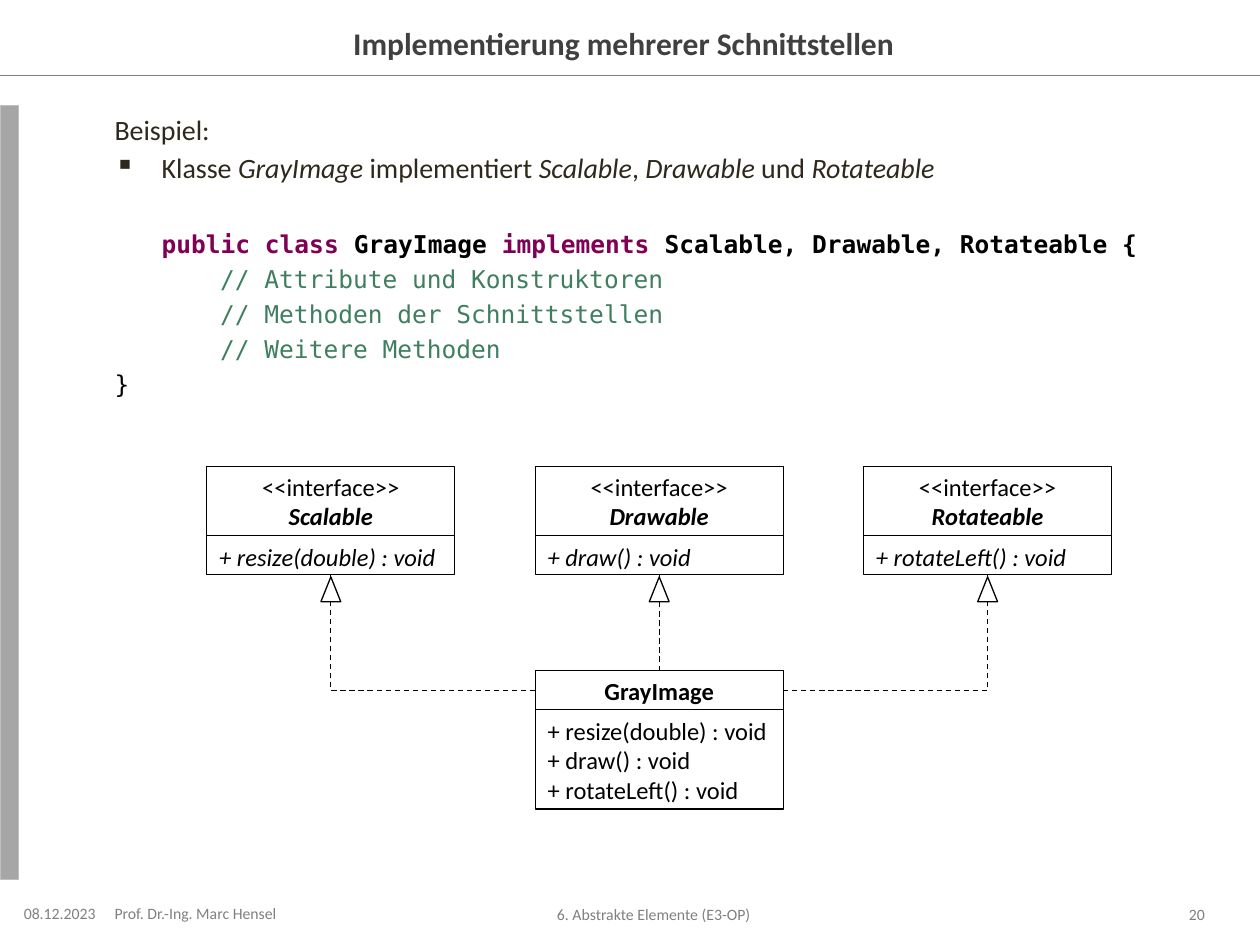
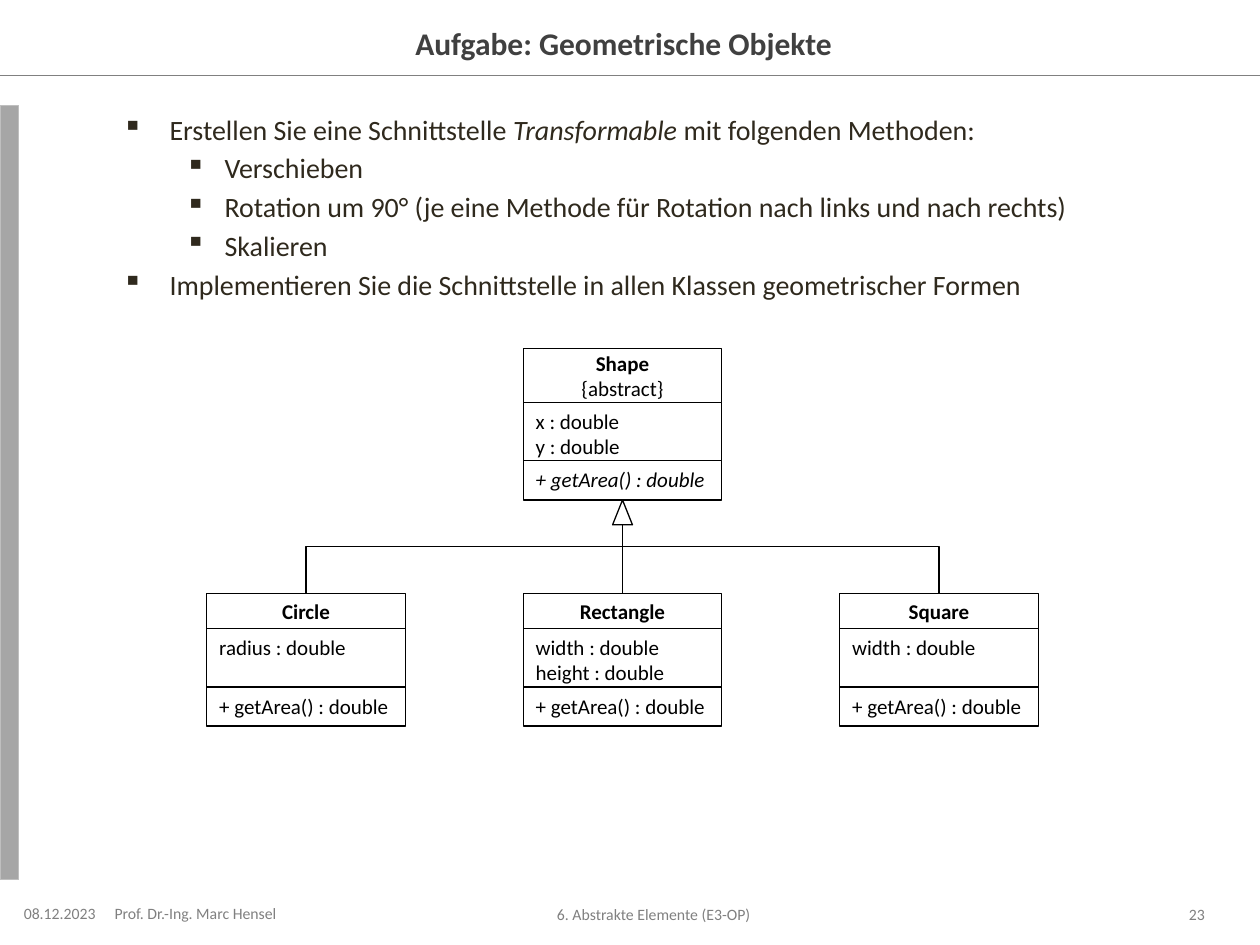
"""Build two lecture slides on Java interfaces with UML class diagrams."""
from dataclasses import dataclass
from typing import Optional

from lxml.etree import SubElement
from pptx import Presentation
from pptx.dml.color import RGBColor
from pptx.enum.dml import MSO_LINE_DASH_STYLE as Dash
from pptx.enum.shapes import MSO_CONNECTOR as Connector
from pptx.enum.shapes import MSO_SHAPE as Preset
from pptx.enum.text import MSO_ANCHOR as Anchor
from pptx.enum.text import PP_ALIGN as Align
from pptx.oxml.ns import qn
from pptx.util import Cm, Pt

COLORS = {
    "rule": "808080", "band": "A6A6A6", "band_edge": "BFBFBF",
    "title": "404040", "footer": "808080", "body": "2F291D",
    "ink": "000000", "paper": "FFFFFF",
    "keyword": "7F0055", "comment": "3F7F5F",
}
TEXT_FONT = "Calibri"
CODE_FONT = "DejaVu Sans Mono"
HAIRLINE = Pt(0.75)
ARROW_WIDTH, ARROW_HEIGHT = 0.4, 0.5


@dataclass(frozen=True)
class Run:
    text: str
    italic: Optional[bool] = None
    color: Optional[str] = None


@dataclass(frozen=True)
class Line:
    runs: tuple[Run, ...]
    size: float = 16
    color: str = "body"
    font: str = TEXT_FONT
    bold: bool = False
    italic: bool = False
    align: Align = Align.LEFT
    left: float = 0
    hang: float = 0
    bullet: bool = False
    gap: float = 0


@dataclass(frozen=True)
class Section:
    height: float
    lines: tuple[Line, ...]
    anchor: Anchor = Anchor.TOP


@dataclass(frozen=True)
class UmlClass:
    left: float
    top: float
    width: float
    sections: tuple[Section, ...]

    @property
    def center(self) -> float:
        return self.left + self.width / 2

    @property
    def right(self) -> float:
        return self.left + self.width

    @property
    def bottom(self) -> float:
        return self.top + sum(section.height for section in self.sections)


@dataclass(frozen=True)
class Label:
    left: float
    top: float
    width: float
    height: float
    line: Line
    insets: tuple[float, float] = (0, 0.25)


def rgb(name: str) -> RGBColor:
    """Look up a named colour."""
    return RGBColor.from_string(COLORS[name])


def write_lines(frame, lines: tuple[Line, ...]) -> None:
    """Fill a text frame with styled paragraphs."""
    frame.word_wrap = True
    for index, line in enumerate(lines):
        paragraph = frame.paragraphs[0] if index == 0 else frame.add_paragraph()
        paragraph.alignment = line.align
        paragraph.space_before = Pt(line.gap)
        properties = paragraph._p.get_or_add_pPr()
        properties.set("marL", str(Cm(line.left)))
        properties.set("indent", str(-Cm(line.hang)))
        if line.bullet:
            SubElement(properties, qn("a:buChar"), char="▪")
        font = paragraph.font
        font.name, font.size = line.font, Pt(line.size)
        font.bold = line.bold
        if all(run.italic is None for run in line.runs):
            font.italic = line.italic
        if all(run.color is None for run in line.runs):
            font.color.rgb = rgb(line.color)
        for part in line.runs:
            run = paragraph.add_run()
            run.text = part.text
            if part.italic is not None:
                run.font.italic = part.italic
            if part.color:
                run.font.color.rgb = rgb(part.color)


def add_text(slide, left: float, top: float, width: float, height: float,
             lines: tuple[Line, ...], anchor: Anchor = Anchor.TOP,
             insets: tuple[float, float] = (0, 0.25)) -> None:
    """Add a wrapped text box."""
    frame = slide.shapes.add_textbox(Cm(left), Cm(top), Cm(width), Cm(height)).text_frame
    frame.margin_left, frame.margin_right = map(Cm, insets)
    frame.margin_top = frame.margin_bottom = Cm(0.13)
    frame.vertical_anchor = anchor
    write_lines(frame, lines)


def add_box(shapes, preset: Preset, left: float, top: float, width: float, height: float,
            fill: str = "paper", edge: str = "ink"):
    """Add a flat preset shape with a thin outline."""
    box = shapes.add_shape(preset, Cm(left), Cm(top), Cm(width), Cm(height))
    box.shadow.inherit = False
    box.fill.solid()
    box.fill.fore_color.rgb = rgb(fill)
    box.line.color.rgb = rgb(edge)
    box.line.width = HAIRLINE
    return box


def add_link(slide, kind: Connector, start: tuple[float, float], end: tuple[float, float],
             color: str = "ink", dashed: bool = False):
    """Add a thin connector without shadow."""
    link = slide.shapes.add_connector(kind, *map(Cm, (*start, *end)))
    link.line.color.rgb = rgb(color)
    link.line.width = HAIRLINE
    if dashed:
        link.line.dash_style = Dash.DASH
    SubElement(link._element.spPr, qn("a:effectLst"))
    return link


def add_corner(slide, start: tuple[float, float], end: tuple[float, float]) -> None:
    """Link two points by one dashed bend, horizontal part first."""
    link = add_link(slide, Connector.ELBOW, start, end, dashed=True)
    link._element.spPr.find(qn("a:prstGeom")).set("prst", "bentConnector2")


def add_branch(slide, child: UmlClass, parent: UmlClass) -> None:
    """Link a child's top to its parent's bottom by two bends."""
    middle_x = (child.center + parent.center) / 2
    middle_y = (child.top + parent.bottom) / 2
    side = 1 if child.center > parent.center else -1
    half_rise = side * (child.top - parent.bottom) / 2
    half_run = abs(child.center - parent.center) / 2
    link = add_link(slide, Connector.ELBOW, (middle_x - half_rise, middle_y + half_run),
                    (middle_x + half_rise, middle_y - half_run))
    degrees = 270 if side > 0 else 90
    link._element.spPr.find(qn("a:xfrm")).set("rot", str(degrees * 60000))


def add_arrowhead(slide, target: UmlClass, gap: float = 0) -> None:
    """Place a hollow triangle below a class."""
    add_box(slide.shapes, Preset.ISOSCELES_TRIANGLE, target.center - ARROW_WIDTH / 2,
            target.bottom + gap, ARROW_WIDTH, ARROW_HEIGHT)


def draw_class(slide, uml: UmlClass) -> None:
    """Draw a class as a group of stacked sections."""
    group = slide.shapes.add_group_shape()
    top = uml.top
    for section in uml.sections:
        box = add_box(group.shapes, Preset.RECTANGLE, uml.left, top, uml.width, section.height)
        box.text_frame.vertical_anchor = section.anchor
        write_lines(box.text_frame, section.lines)
        top += section.height


def header(height: float, size: float, *lines: tuple[str, bool, bool]) -> Section:
    """Make a centred class header from (text, bold, italic) rows."""
    return Section(height, tuple(
        Line((Run(text),), size, "ink", bold=bold, italic=italic, align=Align.CENTER)
        for text, bold, italic in lines), Anchor.MIDDLE)


def members(height: float, size: float, *names: str, italic: bool = False) -> Section:
    """Make a section listing attributes or methods."""
    return Section(height, tuple(
        Line((Run(name),), size, "ink", italic=italic) for name in names))


def mixed(*texts: str) -> tuple[Run, ...]:
    """Alternate upright and italic runs."""
    return tuple(Run(text, index % 2 == 1, "body") for index, text in enumerate(texts))


def add_lecture_slide(deck, title: str, number: str, body: tuple[Line, ...]):
    """Add a slide with the shared title, band, footer and body text."""
    slide = deck.slides.add_slide(deck.slide_layouts[6])
    add_link(slide, Connector.STRAIGHT, (0, 1.52), (25.4, 1.52), "rule")
    add_box(slide.shapes, Preset.RECTANGLE, 0, 2.13, 0.38, 15.6, "band", "band_edge")

    def footer(text: str, align: Align) -> Line:
        return Line((Run(text),), 9, "footer", align=align)

    labels = (
        Label(3.15, 0.38, 19.1, 0.99,
              Line((Run(title),), 18, "title", bold=True, align=Align.CENTER)),
        Label(6.3, 18.24, 14, 0.38, footer("6. Abstrakte Elemente (E3-OP)", Align.CENTER)),
        Label(0.38, 18.21, 1.9, 0.41, footer("08.12.2023", Align.CENTER)),
        Label(2.31, 18.21, 3.81, 0.38, footer("Prof. Dr.-Ing. Marc Hensel", Align.LEFT)),
        Label(22.66, 18.24, 1.63, 0.38, footer(number, Align.RIGHT), (0.25, 0)),
    )
    for label in labels:
        add_text(slide, label.left, label.top, label.width, label.height,
                 (label.line,), Anchor.MIDDLE, label.insets)
    add_text(slide, 2.31, 2.13, 22, 15.6, body)
    return slide


def build_interfaces(deck) -> None:
    """Show one class implementing three interfaces."""
    declaration = (Run("public class ", color="keyword"), Run("GrayImage ", color="ink"),
                   Run("implements ", color="keyword"),
                   Run("Scalable, Drawable, Rotateable {", color="ink"))
    comments = ("Attribute und Konstruktoren", "Methoden der Schnittstellen", "Weitere Methoden")
    body = (
        Line((Run("Beispiel:"),), gap=3),
        Line(mixed("Klasse ", "GrayImage", " implementiert ", "Scalable", ", ", "Drawable",
                   " und ", "Rotateable"), left=0.95, hang=0.95, bullet=True, gap=3),
        Line(declaration, 14, font=CODE_FONT, bold=True, left=0.95, gap=25.5),
        *(Line((Run(f"// {comment}"),), 14, "comment", CODE_FONT, left=2.13, gap=3.2)
          for comment in comments),
        Line((Run("}"),), 14, "ink", CODE_FONT, gap=3.2),
    )
    slide = add_lecture_slide(deck, "Implementierung mehrerer Schnittstellen", "20", body)

    methods = {"Scalable": "+ resize(double) : void", "Drawable": "+ draw() : void",
               "Rotateable": "+ rotateLeft() : void"}
    interfaces = [
        UmlClass(4.17 + 6.62 * column, 9.4, 5, (
            header(1.4, 14, ("<<interface>>", False, False), (name, True, True)),
            members(0.79, 14, method, italic=True)))
        for column, (name, method) in enumerate(methods.items())]
    scalable, drawable, rotateable = interfaces
    gray_image = UmlClass(drawable.left, 13.52, 5, (
        header(0.79, 14, ("GrayImage", True, False)), members(2, 14, *methods.values())))
    for uml in (*interfaces, gray_image):
        draw_class(slide, uml)

    side_y = gray_image.top + 0.4
    add_corner(slide, (gray_image.right, side_y), (rotateable.center, rotateable.bottom))
    add_corner(slide, (gray_image.left, side_y), (scalable.center, scalable.bottom))
    add_link(slide, Connector.STRAIGHT, (gray_image.center, gray_image.top),
             (drawable.center, drawable.bottom), dashed=True)
    for interface in interfaces:
        add_arrowhead(slide, interface, 0.04)


def build_exercise(deck) -> None:
    """Show the exercise on geometric shapes."""
    tasks = (
        (0, mixed("Erstellen Sie eine Schnittstelle ", "Transformable",
                  " mit folgenden Methoden:")),
        (1, (Run("Verschieben"),)),
        (1, (Run("Rotation um 90° (je eine Methode für Rotation nach links und nach rechts)"),)),
        (1, (Run("Skalieren"),)),
        (0, (Run("Implementieren Sie die Schnittstelle in allen Klassen geometrischer Formen"),)),
    )
    indents = ((1.11, 0.95), (2.22, 0.79))
    body = tuple(Line(runs, left=indents[level][0], hang=indents[level][1], bullet=True, gap=3)
                 for level, runs in tasks)
    slide = add_lecture_slide(deck, "Aufgabe: Geometrische Objekte", "23", body)

    area = "+ getArea() : double"
    attributes = {"Circle": ("radius : double",),
                  "Rectangle": ("width : double", "height : double"),
                  "Square": ("width : double",)}
    children = [
        UmlClass(4.17 + 6.38 * column, 11.96, 4, (
            header(0.71, 12, (name, True, False)),
            members(1.18, 12, *fields), members(0.79, 12, area)))
        for column, (name, fields) in enumerate(attributes.items())]
    circle, rectangle, square = children
    parent = UmlClass(rectangle.left, 7.03, 4, (
        header(1.08, 12, ("Shape", True, False), ("{abstract}", False, False)),
        members(1.18, 12, "x : double", "y : double"), members(0.79, 12, area, italic=True)))

    for child in (circle, square):
        add_branch(slide, child, parent)
    add_link(slide, Connector.STRAIGHT, (rectangle.center, rectangle.top),
             (parent.center, parent.bottom))
    for uml in (parent, *children):
        draw_class(slide, uml)
    add_arrowhead(slide, parent)


def main() -> None:
    """Build and save the deck."""
    deck = Presentation()
    deck.slide_width, deck.slide_height = Cm(25.4), Cm(19.05)
    build_interfaces(deck)
    build_exercise(deck)
    deck.save("out.pptx")


if __name__ == "__main__":
    main()
